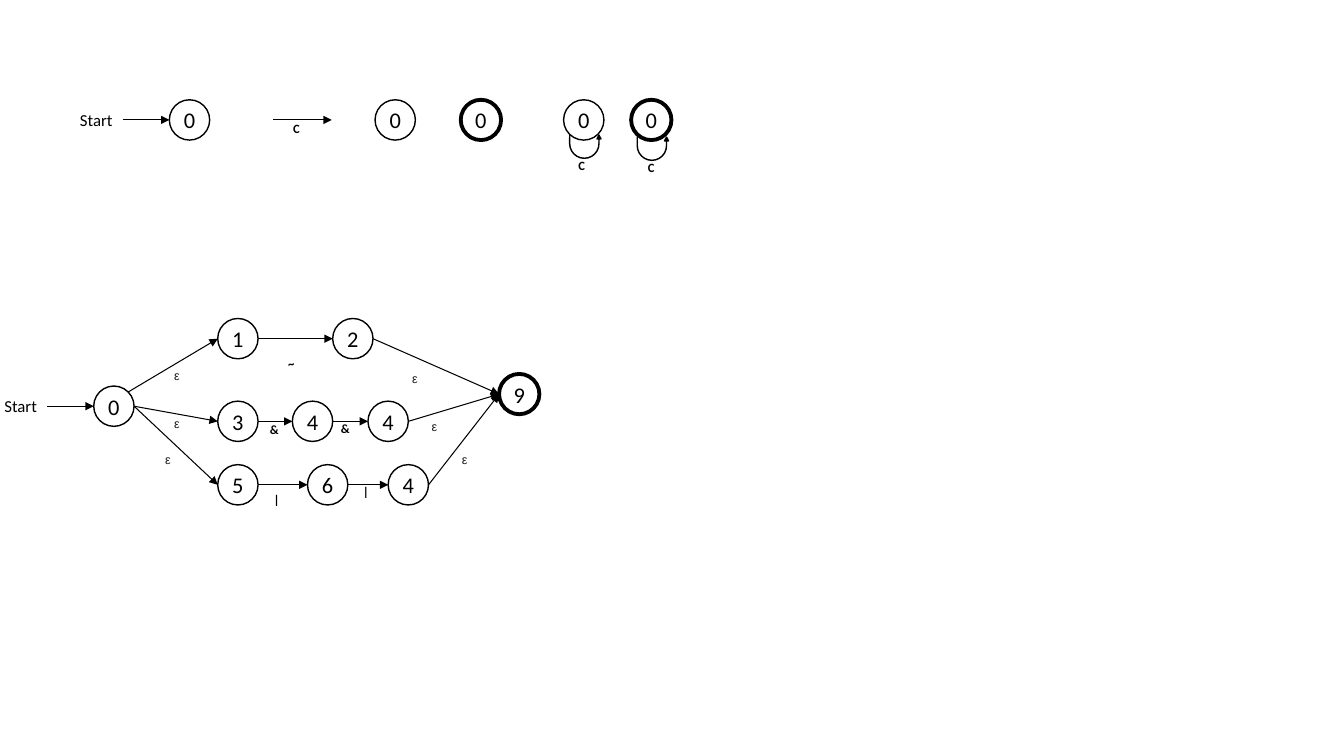
from lxml.etree import SubElement
from pptx import Presentation
from pptx.dml.color import RGBColor
from pptx.enum.shapes import MSO_CONNECTOR, MSO_SHAPE
from pptx.enum.text import MSO_ANCHOR, PP_ALIGN
from pptx.oxml.ns import qn
from pptx.util import Inches, Pt

COLORS = {"ink": "000000", "epsilon": "202124"}
STATE = 0.4
LABEL_W, LABEL_H = 0.16, 0.25
EPSILON = "ε"


def rgb(name):
    return RGBColor.from_string(COLORS[name])


def set_text(sp, text, size, font="Calibri", color="ink", bold=False):
    tf = sp.text_frame
    tf.margin_left = tf.margin_right = tf.margin_top = tf.margin_bottom = 0
    tf.word_wrap = False
    tf.vertical_anchor = MSO_ANCHOR.MIDDLE
    p = tf.paragraphs[0]
    p.text = text
    p.alignment = PP_ALIGN.CENTER
    r = p.runs[0]
    r.font.size = Pt(size)
    r.font.name = font
    r.font.bold = bold
    r.font.color.rgb = rgb(color)


def add_state(shapes, x, y, text, final=False):
    sp = shapes.add_shape(MSO_SHAPE.OVAL, Inches(x), Inches(y), Inches(STATE), Inches(STATE))
    sp.shadow.inherit = False
    sp.fill.background()
    sp.line.color.rgb = rgb("ink")
    sp.line.width = Pt(2.75 if final else 1)
    set_text(sp, text, 16)


def add_arrow(shapes, start, end):
    points = [Inches(v) for v in (*start, *end)]
    line = shapes.add_connector(MSO_CONNECTOR.STRAIGHT, *points)
    line.line.color.rgb = rgb("ink")
    line.line.width = Pt(0.75)
    SubElement(line.line._get_or_add_ln(), qn("a:tailEnd"), type="triangle")
    SubElement(line._element.spPr, qn("a:effectLst"))


def add_label(shapes, cx, cy, text):
    sp = shapes.add_textbox(Inches(cx - LABEL_W / 2), Inches(cy - LABEL_H / 2),
                            Inches(LABEL_W), Inches(LABEL_H))
    if text == EPSILON:
        set_text(sp, text, 9, "Arial", "epsilon")
    else:
        set_text(sp, text, 9, bold=True)


def add_edge(shapes, start, end, text, offset):
    group = shapes.add_group_shape().shapes
    add_arrow(group, start, end)
    add_label(group, (start[0] + end[0]) / 2 + offset[0],
              (start[1] + end[1]) / 2 + offset[1], text)


def add_start_state(shapes, x, y):
    group = shapes.add_group_shape().shapes
    sp = group.add_textbox(Inches(x), Inches(y + 0.05), Inches(0.53), Inches(0.3))
    set_text(sp, "Start", 12)
    mid = y + STATE / 2
    add_arrow(group, (x + 0.53, mid), (x + 0.99, mid))
    add_state(group, x + 0.99, y, "0")


def add_loop_state(shapes, x, y, final=False):
    group = shapes.add_group_shape().shapes
    drop = 0.02 if final else 0
    add_state(group, x, y, "0", final)
    loop = group.add_shape(MSO_SHAPE.U_TURN_ARROW, Inches(x + 0.06), Inches(y + 0.35 + drop),
                           Inches(0.31), Inches(0.23))
    for i, value in enumerate((0, 0.085, 0.164, 0.717, 1)):
        loop.adjustments[i] = value
    loop.rotation = 180
    loop._element.spPr.find(qn("a:xfrm")).set("flipH", "1")
    loop.shadow.inherit = False
    loop.fill.solid()
    loop.fill.fore_color.rgb = rgb("ink")
    loop.line.color.rgb = rgb("ink")
    loop.line.width = Pt(1)
    add_label(group, x + 0.18 + drop, y + 0.65 + drop, "C")


def add_legend(shapes, x, y):
    mid = y + STATE / 2
    add_start_state(shapes, x, y)
    add_edge(shapes, (x + 2.02, mid), (x + 2.6, mid), "C", (-0.06, 0.08))
    add_state(shapes, x + 3.03, y, "0")
    add_state(shapes, x + 3.88, y, "0", final=True)
    add_loop_state(shapes, x + 4.9, y)
    add_loop_state(shapes, x + 5.57, y, final=True)


def add_automaton(shapes, x, y):
    half = STATE / 2
    start_top = y + 0.67
    start_right = (x + 0.99 + STATE, start_top + half)
    start_corner = (x + 1.33, start_top + 0.06)
    final_left = (x + 5.01, y + 0.55 + half)
    branches = [
        (0, start_corner, [(2.22, "1"), (3.36, "2")], "~",
         [(0.04, 0.1), (-0.04, 0.25), (-0.21, 0.12)]),
        (0.82, start_right, [(2.22, "3"), (2.96, "4"), (3.71, "4")], "&",
         [(0.01, 0.1), (-0.01, 0.08), (-0.05, 0.07), (-0.19, 0.19)]),
        (1.45, start_right, [(2.22, "5"), (3.11, "6"), (3.91, "4")], "|",
         [(-0.08, 0.14), (-0.06, 0.14), (-0.02, 0.07), (0.01, 0.2)]),
    ]
    add_start_state(shapes, x, start_top)
    for top, tail, states, symbol, offsets in branches:
        mid = y + top + half
        for i, (left, number) in enumerate(states):
            add_edge(shapes, tail, (x + left, mid), symbol if i else EPSILON, offsets[i])
            add_state(shapes, x + left, y + top, number)
            tail = (x + left + STATE, mid)
        add_edge(shapes, tail, final_left, EPSILON, offsets[-1])
    add_state(shapes, final_left[0], final_left[1] - half, "9", final=True)


prs = Presentation()
prs.slide_width = Inches(13.33)
prs.slide_height = Inches(7.5)
slide = prs.slides.add_slide(prs.slide_layouts[6])
add_legend(slide.shapes, 0.69, 0.99)
add_automaton(slide.shapes, -0.06, 3.16)
prs.save("out.pptx")
